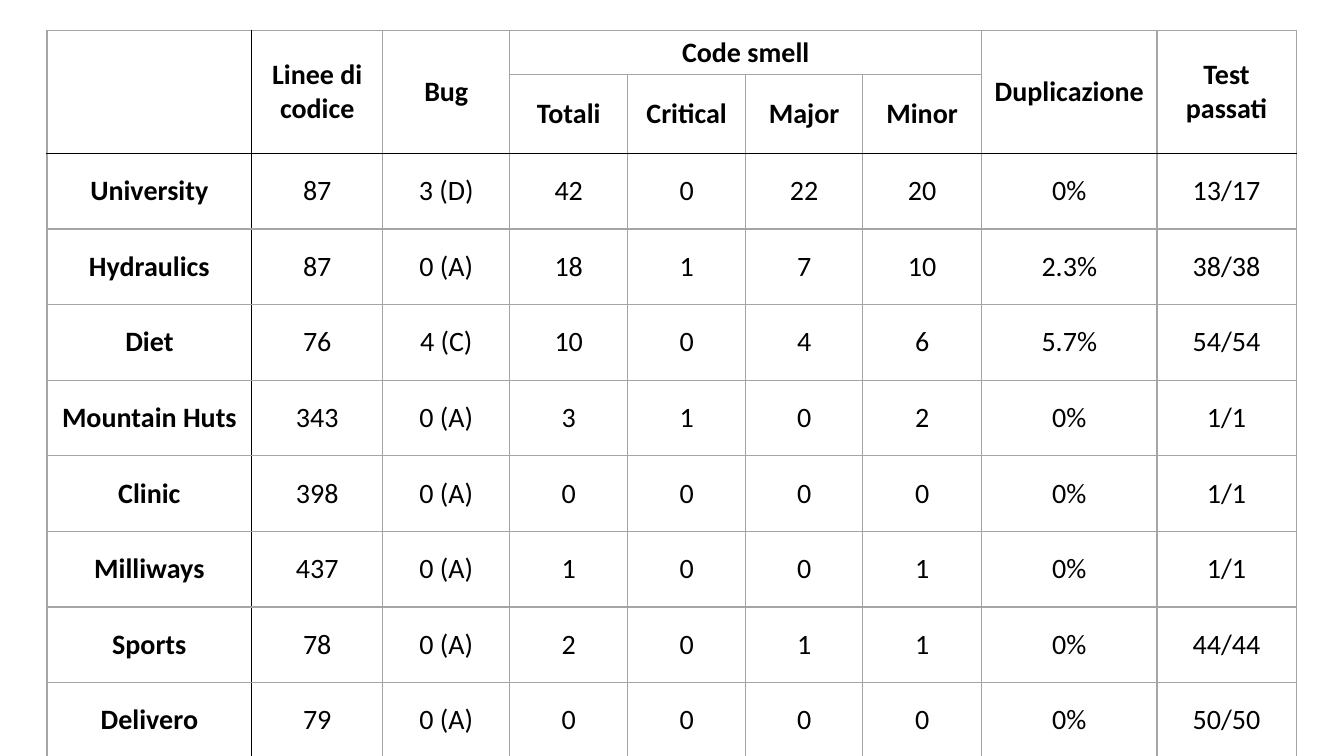
from lxml import etree
from pptx import Presentation
from pptx.dml.color import RGBColor
from pptx.enum.text import MSO_ANCHOR, PP_ALIGN
from pptx.oxml.ns import qn
from pptx.util import Inches, Pt

BLACK = RGBColor(0x00, 0x00, 0x00)
GREY = RGBColor(0xA5, 0xA5, 0xA5)
MIDDLE = MSO_ANCHOR.MIDDLE
CENTER = PP_ALIGN.CENTER
FONT = "Calibri"

WIDE, HIGH = Inches(13.33), Inches(7.5)
COLS = [2.03, 1.3, 1.26, 1.17, 1.17, 1.16, 1.18, 1.74, 1.38]
HEADS = [0.44, 0.77]
ROW = 0.75
INSET = Inches(0.04)

TITLES = [
    ["", "Linee di codice", "Bug", "Code smell", "", "", "",
     "Duplicazione", "Test passati"],
    ["", "", "", "Totali", "Critical", "Major", "Minor", "", ""],
]
SMELLS = (3, 6)
DATA = [
    ["University", "87", "3 (D)", "42", "0", "22", "20", "0%", "13/17"],
    ["Hydraulics", "87", "0 (A)", "18", "1", "7", "10", "2.3%", "38/38"],
    ["Diet", "76", "4 (C)", "10", "0", "4", "6", "5.7%", "54/54"],
    ["Mountain Huts", "343", "0 (A)", "3", "1", "0", "2", "0%", "1/1"],
    ["Clinic", "398", "0 (A)", "0", "0", "0", "0", "0%", "1/1"],
    ["Milliways", "437", "0 (A)", "1", "0", "0", "1", "0%", "1/1"],
    ["Sports", "78", "0 (A)", "2", "0", "1", "1", "0%", "44/44"],
    ["Delivero", "79", "0 (A)", "0", "0", "0", "0", "0%", "50/50"],
]


def set_edge(cell, side, color):
    """Draw one border of a cell; side is L, R, T or B."""
    line = etree.SubElement(cell._tc.get_or_add_tcPr(), qn("a:ln" + side),
                            w=str(Pt(1)))
    fill = etree.SubElement(line, qn("a:solidFill"))
    etree.SubElement(fill, qn("a:srgbClr"), val=str(color))


def draw_edges(cell, row, col):
    """Rule a cell in grey, with black below the heads and beside the names."""
    last = row + cell.span_height - 1 if cell.is_merge_origin else row
    split = len(HEADS)
    dark = {"L": col == 1, "R": col == 0,
            "T": row == split, "B": last == split - 1}
    for side, strong in dark.items():
        set_edge(cell, side, BLACK if strong else GREY)


def fill_cell(cell, text, bold):
    """Write centred text in a clear cell."""
    cell.fill.background()
    cell.vertical_anchor = MIDDLE
    cell.text = text
    para = cell.text_frame.paragraphs[0]
    para.alignment = CENTER
    font = para.font
    font.name, font.size, font.bold = FONT, Pt(20), bold
    font.color.rgb = BLACK


def merge_heads(table):
    """Join the smell group across, and every other head down."""
    first, last = SMELLS
    table.cell(0, first).merge(table.cell(0, last))
    for col in range(len(COLS)):
        if not first <= col <= last:
            table.cell(0, col).merge(table.cell(1, col))


def add_grid(slide, left, top, width, height):
    """Place the table of code quality figures in the given box."""
    rows = TITLES + DATA
    table = slide.shapes.add_table(len(rows), len(COLS), left, top,
                                   width, height).table
    table.first_row = table.horz_banding = False
    for col, share in zip(table.columns, COLS):
        col.width = int(width * share / sum(COLS))
    tall = HEADS + [ROW] * len(DATA)
    for row, share in zip(table.rows, tall):
        row.height = int(height * share / sum(tall))
    merge_heads(table)
    for r, texts in enumerate(rows):
        for c, text in enumerate(texts):
            cell = table.cell(r, c)
            head = r < len(HEADS)
            draw_edges(cell, r, c)
            fill_cell(cell, text, head or c == 0)
            if not head and c > 0:
                cell.margin_left = cell.margin_right = INSET
                cell.margin_top = cell.margin_bottom = INSET


def main():
    """Build the slide and save it."""
    deck = Presentation()
    deck.slide_width, deck.slide_height = WIDE, HIGH
    slide = deck.slides.add_slide(deck.slide_layouts[6])
    add_grid(slide, int(WIDE * 0.035), int(HIGH * 0.04),
             Inches(sum(COLS)), Inches(sum(HEADS) + ROW * len(DATA)))
    deck.save("out.pptx")


main()
